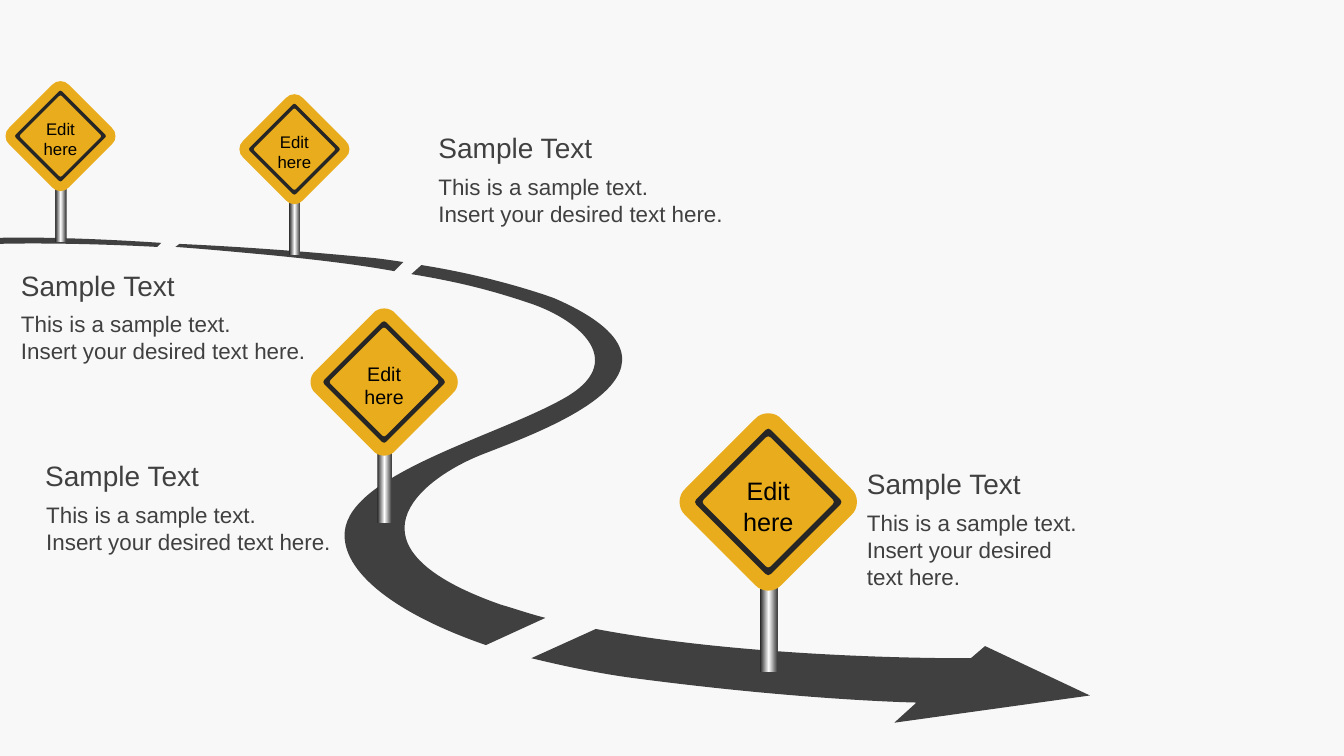
from dataclasses import dataclass

from lxml import etree
from pptx import Presentation
from pptx import util as u
from pptx.dml import color
from pptx.enum import shapes, text
from pptx.oxml import ns

Segment = tuple[float, ...]
Contour = list[Segment]

FONT = "Arial"
BACKGROUND, ASPHALT, YELLOW, BLACK, BORDER = "F8F8F8", "404040", "E9AC1C", "000000", "262626"
POLE_STOPS = ((0, "262626"), (50, "FFFFFF"), (100, "404040"))


@dataclass
class Sign:
    x: float
    y: float
    scale: float
    size: int


@dataclass
class Label:
    x: float
    y: float
    width: float
    body_height: float = 0.91
    body_shift: float = 0


ROAD: list[Contour] = [
    [(4.97, 6), (3.34, 5.43, 4.15, 4.76, 4.78, 4.51), (5.42, 4.26, 7.1, 3.66, 5.5, 2.96),
     (5.5, 2.96, 4.94, 2.75, 4.18, 2.63), (4.08, 2.72), (4.63, 2.81, 4.96, 2.91, 5.26, 3.01),
     (5.76, 3.18, 6.24, 3.6, 5.58, 3.96), (4.92, 4.33, 3.48, 4.7, 3.42, 5.27),
     (3.38, 5.67, 3.92, 6.09, 4.82, 6.4), (5.41, 6.13), (5.25, 6.09, 5.11, 6.04, 4.97, 6)],
    [(-0.01, 2.36), (-0.01, 2.42), (-0.01, 2.42, 0.61, 2.4, 1.56, 2.45), (1.6, 2.41),
     (1, 2.37, 0.42, 2.35, -0.01, 2.36)],
    [(3.6, 2.55), (3.08, 2.5, 2.43, 2.45, 1.78, 2.42), (1.74, 2.45),
     (2.03, 2.47, 2.34, 2.5, 2.67, 2.53), (3.18, 2.58, 3.58, 2.63, 3.91, 2.69), (4, 2.6),
     (3.87, 2.58, 3.73, 2.56, 3.6, 2.55)],
    [(10.81, 6.9), (9.77, 6.41), (9.63, 6.53), (9.63, 6.53, 7.55, 6.55, 5.91, 6.24),
     (5.27, 6.53), (5.56, 6.6, 5.88, 6.67, 6.23, 6.72), (7.95, 6.95, 9.09, 6.97, 9.09, 6.97),
     (8.87, 7.17)],
]
LABELS = [
    Label(8.5, 4.58, 2.42),
    Label(0.35, 4.5, 3.55, 0.64, 0.01),
    Label(4.25, 1.25, 4.37),
    Label(0.11, 2.61, 3.36),
]
SIGNS = [
    Sign(7.62, 4.98, 1, 18),
    Sign(3.81, 3.79, 0.83, 14),
    Sign(2.92, 1.48, 0.62, 12),
    Sign(0.6, 1.35, 0.62, 12),
]


def rgb(value: str) -> color.RGBColor:
    return color.RGBColor.from_string(value)


def diamond(x: float, y: float, radius: float, rounding: float, direction: int = 1) -> Contour:
    bend = radius * rounding
    inset = radius - 0.6 * bend
    corner = ((inset, -bend), (radius, -bend / 2), (radius, bend / 2), (inset, bend))
    contour: Contour = []
    for c, s in ((1, 0), (0, 1), (-1, 0), (0, -1)):
        start, *curve = [(x + c * dx - s * dy, y + direction * (s * dx + c * dy))
                         for dx, dy in corner]
        contour += [start, tuple(value for point in curve for value in point)]
    return contour


def bend_lines(shape, contours: list[Contour]) -> None:
    lines = shape._element.iter(ns.qn("a:lnTo"))
    remaining = iter(list(lines))
    for contour in contours:
        for segment in contour[1:]:
            line = next(remaining)
            if len(segment) == 2:
                continue
            curve = etree.Element(ns.qn("a:cubicBezTo"))
            line.addprevious(curve)
            for part in (line, next(remaining), next(remaining)):
                curve.append(part[0])
                part.getparent().remove(part)


def add_outline(page, contours: list[Contour], fill: str) -> None:
    scaled = [[(u.Inches(segment[i]), u.Inches(segment[i + 1]))
               for segment in contour for i in range(0, len(segment), 2)]
              for contour in contours]
    builder = page.shapes.build_freeform(*scaled[0][0])
    for index, points in enumerate(scaled):
        if index:
            builder.move_to(*points[0])
        builder.add_line_segments(points[1:], close=True)
    shape = builder.convert_to_shape()
    bend_lines(shape, contours)
    shape.shadow.inherit = False
    shape.fill.solid()
    shape.fill.fore_color.rgb = rgb(fill)
    shape.line.fill.background()


def add_text(page, left: float, top: float, width: float, height: float, lines: list[str],
             size: int, ink: str, centred: bool = False) -> None:
    box = page.shapes.add_textbox(*map(u.Inches, (left, top, width, height)))
    frame = box.text_frame
    frame.text = "\n".join(lines)
    frame.word_wrap = True
    frame.auto_size = text.MSO_AUTO_SIZE.SHAPE_TO_FIT_TEXT
    if centred:
        frame.vertical_anchor = text.MSO_ANCHOR.MIDDLE
    for para in frame.paragraphs:
        if centred:
            para.alignment = text.PP_ALIGN.CENTER
        for span in para.runs:
            span.font.name = FONT
            span.font.size = u.Pt(size)
            span.font.color.rgb = rgb(ink)


def add_pole(page, sign: Sign) -> None:
    s = sign.scale
    pole = page.shapes.add_shape(
        shapes.MSO_SHAPE.RECTANGLE,
        *map(u.Inches, (sign.x - 0.08 * s, sign.y + 0.84 * s, 0.17 * s, 0.85 * s)))
    pole.shadow.inherit = False
    pole.line.fill.background()
    pole.fill.gradient()
    pole.fill.gradient_angle = 0
    stops = pole._element.spPr.find(ns.qn("a:gradFill")).find(ns.qn("a:gsLst"))
    for stop in list(stops):
        stops.remove(stop)
    for position, value in POLE_STOPS:
        stop = etree.SubElement(stops, ns.qn("a:gs"), pos=str(position * 1000))
        etree.SubElement(stop, ns.qn("a:srgbClr"), val=value)


def add_sign(page, sign: Sign) -> None:
    x, y, s = sign.x, sign.y, sign.scale
    add_pole(page, sign)
    add_outline(page, [diamond(x, y, 0.9 * s, 0.15)], YELLOW)
    add_outline(page, [diamond(x, y, 0.73 * s, 0.035), diamond(x, y, 0.655 * s, 0.035, -1)],
                BORDER)
    width, height = 1.57 * s, 0.1 + 0.034 * sign.size
    add_text(page, x - width / 2, y + 0.04 * s - height / 2, width, height,
             ["Edit", "here"], sign.size, BLACK, centred=True)


def add_label(page, label: Label) -> None:
    add_text(page, label.x + label.body_shift, label.y + 0.42, label.width, label.body_height,
             ["This is a sample text.", "Insert your desired text here."], 16, ASPHALT)
    add_text(page, label.x, label.y, label.width, 0.44, ["Sample Text"], 20, ASPHALT)


def main() -> None:
    deck = Presentation()
    deck.slide_width, deck.slide_height = u.Inches(13.33), u.Inches(7.5)
    page = deck.slides.add_slide(deck.slide_layouts[6])
    page.background.fill.solid()
    page.background.fill.fore_color.rgb = rgb(BACKGROUND)
    for stretch in ROAD:
        add_outline(page, [stretch], ASPHALT)
    for label in LABELS:
        add_label(page, label)
    for sign in SIGNS:
        add_sign(page, sign)
    deck.save("out.pptx")


if __name__ == "__main__":
    main()
